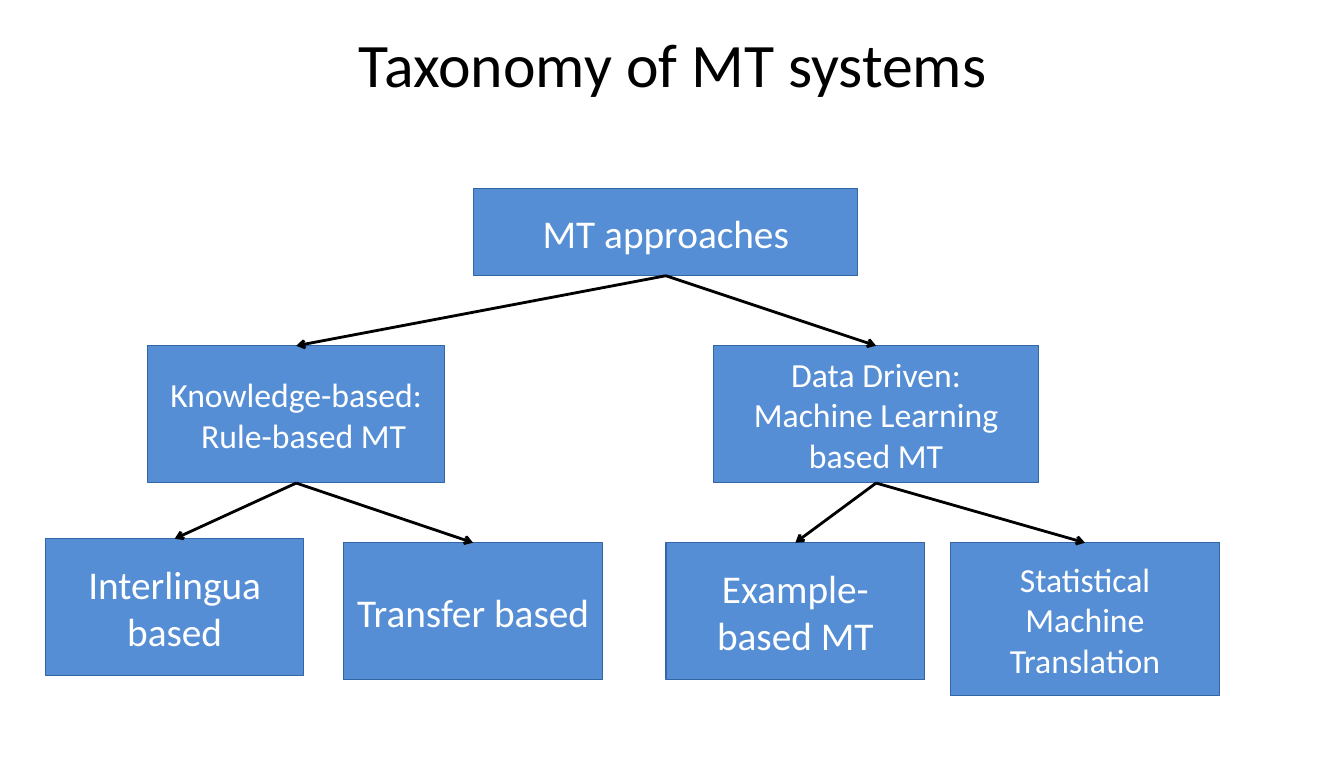
from lxml import etree
from pptx import Presentation
from pptx import util as u
from pptx.dml.color import RGBColor
from pptx.enum import shapes, text
from pptx.oxml.ns import qn

COLOURS = {"box": "558ED5", "edge": "3465A4", "light": "FFFFFF", "dark": "000000"}
BOTTOM, TOP = 2, 0


def colour(name):
    return RGBColor.from_string(COLOURS[name])


def write(shape, words, size, ink="light", last_indent=0):
    """Fill a shape with centred paragraphs, one for each line of words."""
    frame = shape.text_frame
    frame.word_wrap = True
    frame.vertical_anchor = text.MSO_ANCHOR.MIDDLE
    frame.text = words
    for para in frame.paragraphs:
        para.alignment = text.PP_ALIGN.CENTER
        para.font.name = "Calibri"
        para.font.size = u.Pt(size)
        para.font.color.rgb = colour(ink)
    if last_indent:
        para._p.get_or_add_pPr().set("marL", str(u.Cm(last_indent)))


deck = Presentation()
deck.slide_width, deck.slide_height = u.Cm(33.78), u.Cm(19.05)
page = deck.slides.add_slide(deck.slide_layouts[5])

title = page.shapes.title
title.left, title.top = u.Cm(0.05), u.Cm(0)
title.width, title.height = u.Cm(33.73), u.Cm(3.18)
write(title, "Taxonomy of MT systems", 44, ink="dark")

# name: (parent, words, text size, indent of last line, left, top, width, height)
systems = {
    "approaches": (None, "MT approaches", 28, 0, 11.91, 4.75, 9.65, 2.18),
    "knowledge": ("approaches", "Knowledge-based:\nRule-based MT", 24, 0.38,
                  3.71, 8.69, 7.47, 3.45),
    "data": ("approaches", "Data Driven:\nMachine Learning based MT", 24, 0,
             17.93, 8.69, 8.18, 3.45),
    "interlingua": ("knowledge", "Interlingua based", 28, 0, 1.14, 13.54, 6.5, 3.45),
    "transfer": ("knowledge", "Transfer based", 28, 0, 8.64, 13.64, 6.5, 3.45),
    "example": ("data", "Example-based MT", 28, 0, 16.74, 13.64, 6.5, 3.45),
    "statistical": ("data", "Statistical Machine Translation", 24, 0,
                    23.88, 13.64, 6.78, 3.84),
}

boxes = {}
for name, (parent, words, size, indent, *place) in systems.items():
    box = page.shapes.add_shape(shapes.MSO_SHAPE.RECTANGLE, *map(u.Cm, place))
    box.shadow.inherit = False
    box.fill.solid()
    box.fill.fore_color.rgb = colour("box")
    box.line.color.rgb = colour("edge")
    box.line.width = u.Pt(0)
    write(box, words, size, last_indent=indent)
    boxes[name] = box

for name, (parent, *_) in systems.items():
    if parent is None:
        continue
    arrow = page.shapes.add_connector(shapes.MSO_CONNECTOR.STRAIGHT, 0, 0, 0, 0)
    arrow.begin_connect(boxes[parent], BOTTOM)
    arrow.end_connect(boxes[name], TOP)
    arrow.line.color.rgb = colour("dark")
    arrow.line.width = u.Pt(0)
    etree.SubElement(arrow.line._get_or_add_ln(), qn("a:tailEnd"), type="arrow")
    etree.SubElement(arrow._element.spPr, qn("a:effectLst"))

deck.save("out.pptx")
